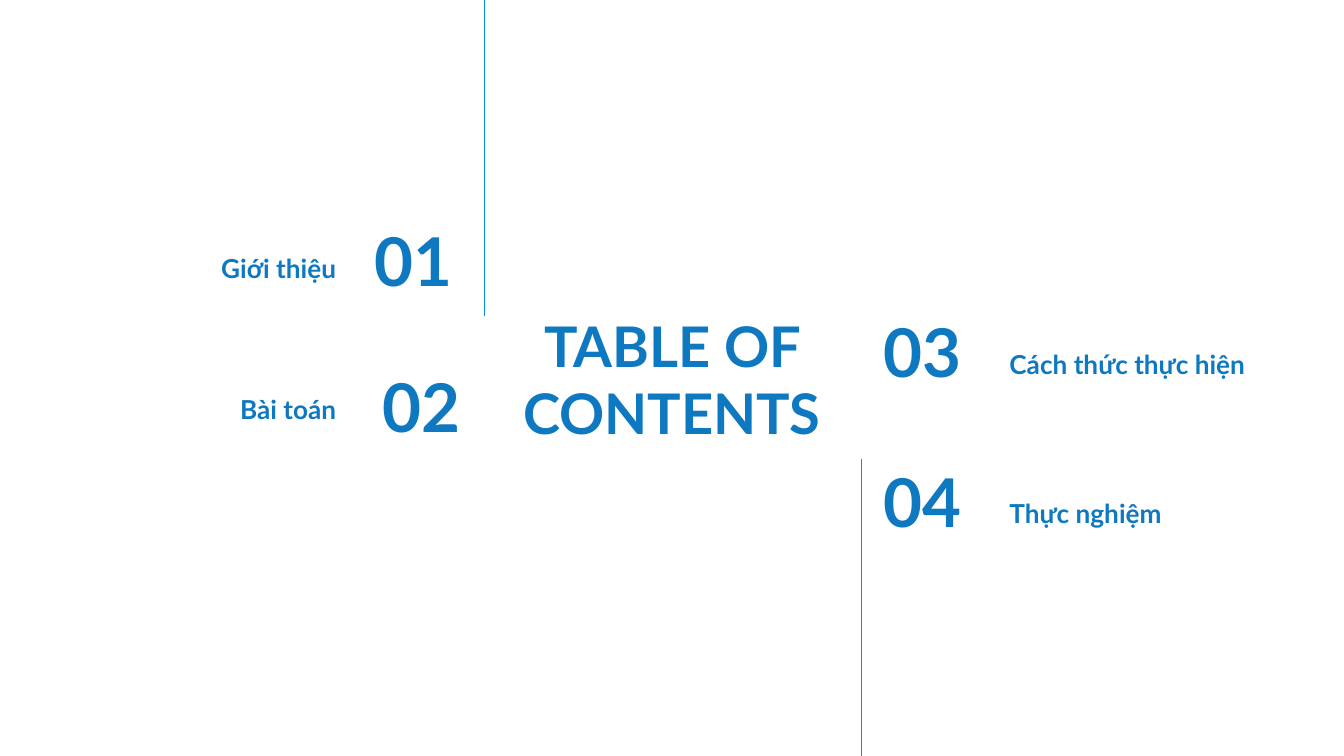
"""Build a table of contents slide with four numbered sections around a title."""
from dataclasses import dataclass

from lxml import etree
from pptx import Presentation
from pptx.dml.color import RGBColor
from pptx.enum.shapes import MSO_CONNECTOR
from pptx.enum.text import MSO_ANCHOR, PP_ALIGN
from pptx.oxml.ns import qn
from pptx.slide import Slide
from pptx.util import Emu, Pt

LEFT, CENTER, RIGHT = PP_ALIGN.LEFT, PP_ALIGN.CENTER, PP_ALIGN.RIGHT
MIDDLE, BOTTOM = MSO_ANCHOR.MIDDLE, MSO_ANCHOR.BOTTOM
STRAIGHT = MSO_CONNECTOR.STRAIGHT

EMU_PER_PX = 5715
SLIDE_WIDTH, SLIDE_HEIGHT = 1600, 900
INSET = 16
ROW_HEIGHT = 101
FONT = "Lato"
COLORS = {"text": "0E78C0", "rule": "0091EA"}


@dataclass(frozen=True)
class Label:
    text: str
    left: int
    top: int
    width: int
    height: int
    size: int
    align: PP_ALIGN
    anchor: MSO_ANCHOR


@dataclass(frozen=True)
class Section:
    number: str
    name: str
    number_left: int
    number_top: int
    name_top: int
    align: PP_ALIGN


@dataclass(frozen=True)
class Rule:
    x: int
    top: int
    bottom: int


NUMBER_WIDTHS = {RIGHT: 194, LEFT: 187}
NAME_SPANS = {RIGHT: (70, 346), LEFT: (1186, 402)}

TITLE = Label("TABLE OF CONTENTS", 593, 368, 414, 165, 30, CENTER, MIDDLE)
SECTIONS = (
    Section("01", "Giới thiệu", 360, 259, 253, RIGHT),
    Section("02", "Bài toán", 370, 432, 421, RIGHT),
    Section("03", "Cách thức thực hiện", 1036, 367, 367, LEFT),
    Section("04", "Thực nghiệm", 1036, 545, 545, LEFT),
)
RULES = (Rule(577, 0, 376), Rule(1026, 547, 902))


def px(length: int) -> Emu:
    """Turn px into EMU."""
    return Emu(length * EMU_PER_PX)


def draw_label(slide: Slide, label: Label) -> None:
    """Draw one bold text box."""
    shape = slide.shapes.add_textbox(
        px(label.left), px(label.top), px(label.width), px(label.height)
    )
    frame = shape.text_frame
    frame.word_wrap = True
    frame.vertical_anchor = label.anchor
    frame.margin_left = frame.margin_right = px(INSET)
    frame.margin_top = frame.margin_bottom = px(INSET)
    paragraph = frame.paragraphs[0]
    paragraph.alignment = label.align
    run = paragraph.add_run()
    run.text = label.text
    run.font.name = FONT
    run.font.size = Pt(label.size)
    run.font.bold = True
    run.font.color.rgb = RGBColor.from_string(COLORS["text"])


def draw_section(slide: Slide, section: Section) -> None:
    """Draw the number and the name of one section."""
    name_left, name_width = NAME_SPANS[section.align]
    draw_label(slide, Label(
        section.name, name_left, section.name_top, name_width,
        ROW_HEIGHT, 14, section.align, BOTTOM,
    ))
    draw_label(slide, Label(
        section.number, section.number_left, section.number_top,
        NUMBER_WIDTHS[section.align], ROW_HEIGHT, 36, section.align, MIDDLE,
    ))


def draw_rule(slide: Slide, rule: Rule) -> None:
    """Draw one thin vertical line."""
    connector = slide.shapes.add_connector(
        STRAIGHT, px(rule.x), px(rule.top), px(rule.x), px(rule.bottom)
    )
    connector.line.color.rgb = RGBColor.from_string(COLORS["rule"])
    connector.line.width = Pt(0.75)
    etree.SubElement(connector._element.spPr, qn("a:effectLst"))


def main() -> None:
    """Build and save the presentation."""
    presentation = Presentation()
    presentation.slide_width = px(SLIDE_WIDTH)
    presentation.slide_height = px(SLIDE_HEIGHT)
    slide = presentation.slides.add_slide(presentation.slide_layouts[6])
    draw_label(slide, TITLE)
    for section in SECTIONS:
        draw_section(slide, section)
    for rule in RULES:
        draw_rule(slide, rule)
    presentation.save("out.pptx")


if __name__ == "__main__":
    main()
